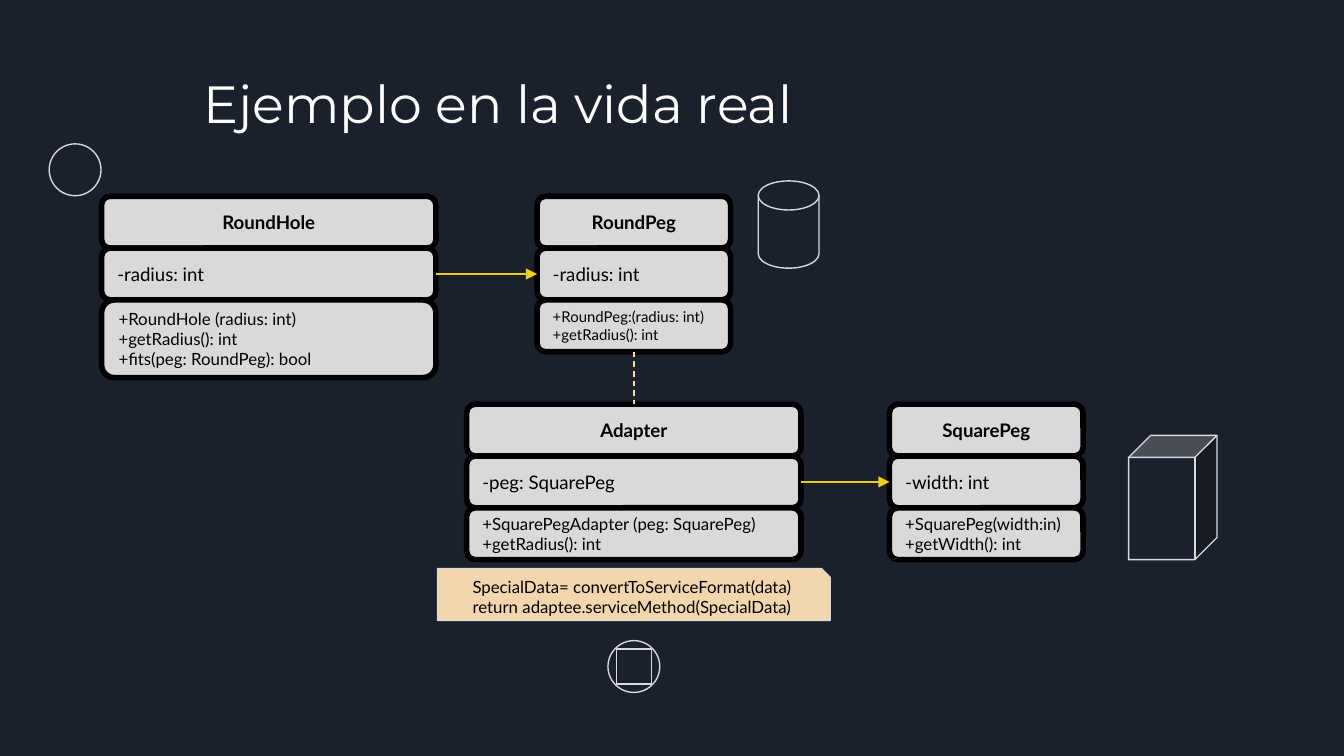
import dataclasses

import pptx
import pptx.dml.color
import pptx.enum.dml
import pptx.enum.shapes
import pptx.enum.text
import pptx.oxml
import pptx.oxml.ns
import pptx.util

Cm = pptx.util.Cm
Pt = pptx.util.Pt
SHAPE = pptx.enum.shapes.MSO_SHAPE
ALIGN = pptx.enum.text.PP_ALIGN
ANCHOR = pptx.enum.text.MSO_ANCHOR
TOP, LEFT, BOTTOM, RIGHT = range(4)
ROW = 0.98  # height of one class compartment, in cm


@dataclasses.dataclass(frozen=True)
class Theme:
    background: str = "1B212C"
    title: str = "FFFFFF"
    text: str = "000000"
    box: str = "D9D9D9"
    border: str = "000000"
    outline: str = "D9D9D9"
    arrow: str = "EECE1A"
    note: str = "F4D6AD"
    title_font: str = "Montserrat"
    body_font: str = "Lato"
    title_size: float = 28
    name_size: float = 10
    method_size: float = 9
    small_size: float = 8
    thick: float = 3
    thin: float = 0.75


def rgb(value):
    return pptx.dml.color.RGBColor.from_string(value)


class Diagram:
    """Draws class diagram elements on one slide in one style."""

    def __init__(self, slide, theme):
        self.slide = slide
        self.theme = theme
        slide.background.fill.solid()
        slide.background.fill.fore_color.rgb = rgb(theme.background)

    def set_text(self, shape, lines, size, color, font, align=ALIGN.LEFT,
                 bold=False, anchor=ANCHOR.MIDDLE):
        frame = shape.text_frame
        frame.text = "\n".join(lines)
        frame.word_wrap = True
        frame.auto_size = pptx.enum.text.MSO_AUTO_SIZE.NONE
        frame.vertical_anchor = anchor
        frame.margin_left = frame.margin_right = Cm(0.25)
        frame.margin_top = frame.margin_bottom = Cm(0.25)
        for paragraph in frame.paragraphs:
            paragraph.alignment = align
            paragraph.font.name = font
            paragraph.font.size = Pt(size)
            paragraph.font.bold = bold
            paragraph.font.color.rgb = rgb(color)

    def title(self, text, left, top, width, height):
        shape = self.slide.shapes.title
        shape.left, shape.top = Cm(left), Cm(top)
        shape.width, shape.height = Cm(width), Cm(height)
        self.set_text(shape, [text], self.theme.title_size, self.theme.title,
                      self.theme.title_font, anchor=ANCHOR.TOP)

    def shape(self, kind, left, top, width, height, fill=None, line=None,
              weight=None):
        shape = self.slide.shapes.add_shape(
            kind, Cm(left), Cm(top), Cm(width), Cm(height))
        shape.shadow.inherit = False
        shape.fill.solid()
        shape.fill.fore_color.rgb = rgb(fill or self.theme.background)
        shape.line.color.rgb = rgb(line or self.theme.outline)
        shape.line.width = Pt(weight or self.theme.thin)
        return shape

    def class_box(self, name, field, methods, left, top, width,
                  method_size=None, method_height=ROW):
        """Stack name, field and methods; return the three compartments."""
        theme = self.theme
        compartments = (
            ([name], theme.name_size, ALIGN.CENTER, True, ROW),
            ([field], theme.name_size, ALIGN.LEFT, False, ROW),
            (methods, method_size or theme.method_size, ALIGN.LEFT, False,
             method_height),
        )
        boxes = []
        for index, (lines, size, align, bold, height) in enumerate(compartments):
            box = self.shape(SHAPE.ROUNDED_RECTANGLE, left, top + index * ROW,
                             width, height, theme.box, theme.border, theme.thick)
            self.set_text(box, lines, size, theme.text, theme.body_font, align,
                          bold)
            boxes.append(box)
        return boxes

    def note(self, lines, left, top, width, height):
        shape = self.shape(SHAPE.SNIP_1_RECTANGLE, left, top, width, height,
                           self.theme.note)
        self.set_text(shape, lines, self.theme.method_size, self.theme.text,
                      self.theme.body_font, ALIGN.CENTER)

    def connector(self, start, start_side, end, end_side, color, dashed=False):
        connector = self.slide.shapes.add_connector(
            pptx.enum.shapes.MSO_CONNECTOR.STRAIGHT, 0, 0, 0, 0)
        connector.begin_connect(start, start_side)
        connector.end_connect(end, end_side)
        connector.line.color.rgb = rgb(color)
        connector.line.width = Pt(self.theme.thin)
        if dashed:
            connector.line.dash_style = pptx.enum.dml.MSO_LINE.DASH
        else:
            head = pptx.oxml.parse_xml(
                f'<a:tailEnd {pptx.oxml.ns.nsdecls("a")} type="triangle"/>')
            connector.line._get_or_add_ln().append(head)
        connector._element.spPr.append(pptx.oxml.parse_xml(
            f'<a:effectLst {pptx.oxml.ns.nsdecls("a")}/>'))


def main():
    presentation = pptx.Presentation()
    presentation.slide_width = Cm(25.4)
    presentation.slide_height = Cm(14.29)
    slide = presentation.slides.add_slide(presentation.slide_layouts[5])
    theme = Theme()
    diagram = Diagram(slide, theme)

    diagram.title("Ejemplo en la vida real", 3.6, 1.09, 19.56, 2.54)

    # Classes: two rows, wide and narrow boxes
    upper, lower = 3.71, 7.64
    wide, narrow = 6.32, 3.66
    adapter = diagram.class_box(
        "Adapter", "-peg: SquarePeg",
        ["+SquarePegAdapter (peg: SquarePeg)", "+getRadius(): int"],
        8.82, lower, wide)
    square_peg = diagram.class_box(
        "SquarePeg", "-width: int",
        ["+SquarePeg(width:in)", "+getWidth(): int"],
        16.81, lower, narrow)
    round_peg = diagram.class_box(
        "RoundPeg", "-radius: int",
        ["+RoundPeg:(radius: int)", "+getRadius(): int"],
        10.15, upper, narrow, theme.small_size)
    round_hole = diagram.class_box(
        "RoundHole", "-radius: int",
        ["+RoundHole (radius: int)", "+getRadius(): int",
         "+fits(peg: RoundPeg): bool"],
        1.92, upper, wide, method_height=1.47)

    # Relations between classes
    diagram.connector(round_hole[1], RIGHT, round_peg[1], LEFT, theme.arrow)
    diagram.connector(adapter[1], RIGHT, square_peg[1], LEFT, theme.arrow)
    diagram.connector(round_peg[2], BOTTOM, adapter[0], TOP, theme.note,
                      dashed=True)

    # Outline drawings of the hole, the pegs and the fitted peg
    diagram.shape(SHAPE.OVAL, 0.93, 2.72, ROW, ROW)
    diagram.shape(SHAPE.FLOWCHART_MAGNETIC_DISK, 14.33, 3.42, 1.15, 1.65)
    diagram.shape(SHAPE.CUBE, 21.33, 8.23, 1.67, 2.35)
    diagram.shape(SHAPE.OVAL, 11.49, 12.11, ROW, ROW)
    diagram.shape(SHAPE.RECTANGLE, 11.65, 12.27, 0.66, 0.66)

    # Code note below the adapter
    diagram.note(["SpecialData= convertToServiceFormat(data)",
                  "return adaptee.serviceMethod(SpecialData)"],
                 8.27, 10.75, 7.42, ROW)

    presentation.save("out.pptx")


if __name__ == "__main__":
    main()
